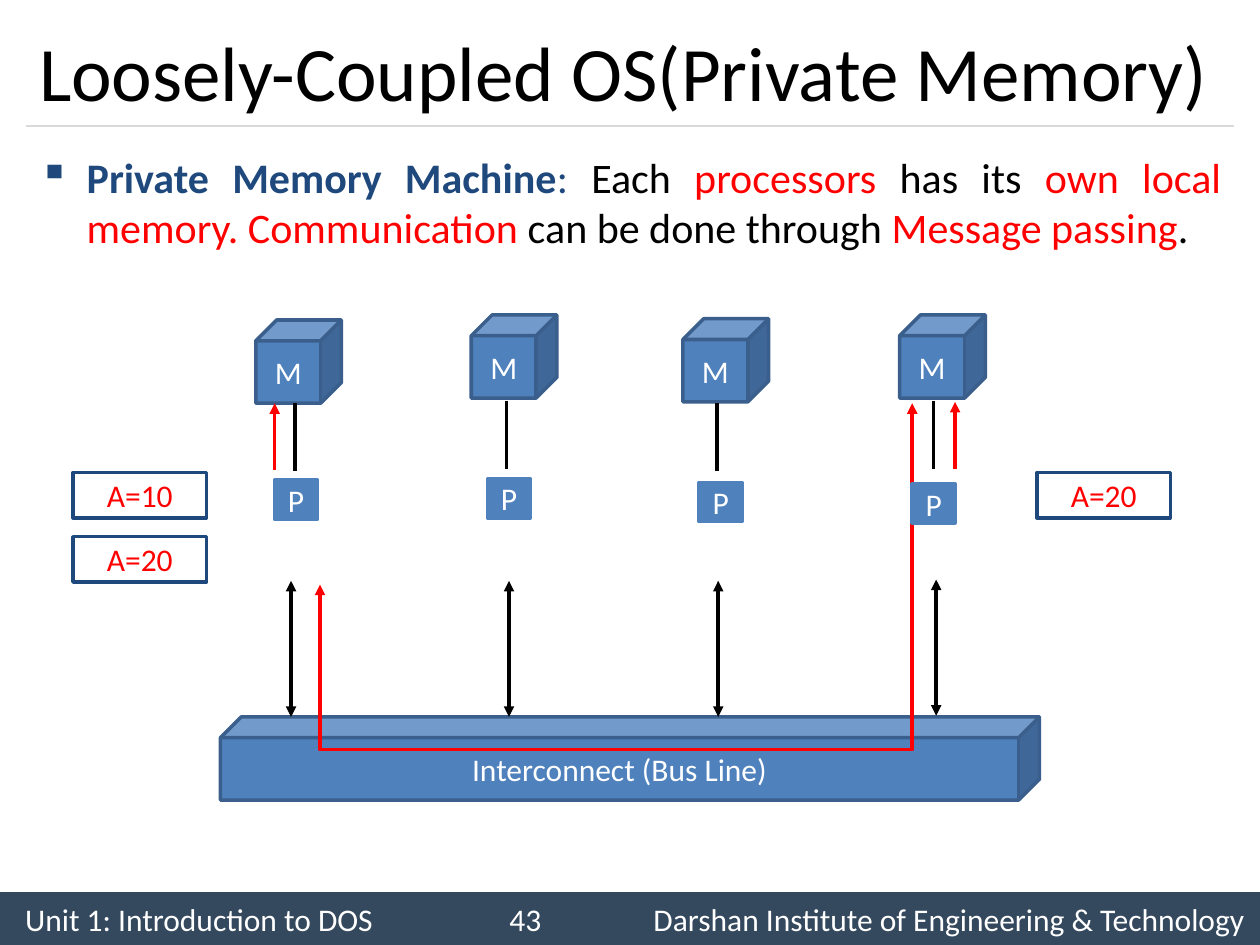
from lxml import etree
from pptx import Presentation
from pptx.dml.color import RGBColor
from pptx.enum.shapes import MSO_CONNECTOR, MSO_SHAPE
from pptx.enum.text import MSO_ANCHOR, MSO_AUTO_SIZE, PP_ALIGN
from pptx.oxml.ns import qn
from pptx.util import Inches, Pt

CUBE, RECT = MSO_SHAPE.CUBE, MSO_SHAPE.RECTANGLE
STRAIGHT = MSO_CONNECTOR.STRAIGHT
LEFT, CENTER, JUSTIFY = PP_ALIGN.LEFT, PP_ALIGN.CENTER, PP_ALIGN.JUSTIFY
MIDDLE, TOP = MSO_ANCHOR.MIDDLE, MSO_ANCHOR.TOP
FONT = "Calibri"
BLACK, WHITE, RED, NAVY = "000000", "FFFFFF", "FF0000", "1F497D"
BLUE, EDGE, BAR, GREY = "4F81BD", "3A5F8C", "34495E", "D9D9D9"

TITLE = "Loosely-Coupled OS(Private Memory)"
FOOTER = "Unit 1: Introduction to DOS\t43\tDarshan Institute of Engineering & Technology"
FOOTER_TABS = [(3.97, "ctr"), (9.68, "r")]
BODY = [
    ("Private Memory Machine", NAVY, True),
    (": ", NAVY, False),
    ("Each ", BLACK, False),
    ("processors", RED, False),
    (" has its ", BLACK, False),
    ("own local memory. Communication", RED, False),
    (" can be done through ", BLACK, False),
    ("Message passing", RED, False),
    (".", BLACK, False),
]
BUS = ("Interconnect (Bus Line)", (1.75, 5.69, 6.5, 0.66))
MEMORY_SIZE, PROCESSOR_SIZE, VALUE_SIZE = (0.68, 0.66), (0.34, 0.31), (1.06, 0.36)
LINK_LENGTH, BUS_LINK_LENGTH, UPDATE_LENGTH = 0.54, 1.08, 0.53
NODES = [
    {"memory": (2.03, 2.54), "link": (2.34, 3.2), "processor": (2.18, 3.81), "bus": (2.31, 4.61)},
    {"memory": (3.74, 2.5), "link": (4.02, 3.18), "processor": (3.87, 3.8), "bus": (4.04, 4.61)},
    {"memory": (5.42, 2.53), "link": (5.69, 3.2), "processor": (5.55, 3.83), "bus": (5.7, 4.61)},
    {"memory": (7.14, 2.5), "link": (7.41, 3.18), "processor": (7.24, 3.84), "bus": (7.43, 4.6)},
]
UPDATES = [(2.18, 3.73), (7.58, 3.72)]
VALUES = [("A=10", (0.58, 3.75)), ("A=20", (0.58, 4.26)), ("A=20", (8.23, 3.75))]
MESSAGE_ROUTE = [(2.54, 4.64), (2.54, 5.95), (7.24, 5.95), (7.24, 3.2)]


def rgb(color):
    """Turn a hex string into a colour."""
    return RGBColor.from_string(color)


def write(shape, runs, size, align, anchor=MIDDLE, insets=(0, 0, 0, 0)):
    """Fill a shape's single paragraph with (text, colour, bold) runs."""
    frame = shape.text_frame
    frame.word_wrap = True
    frame.auto_size = MSO_AUTO_SIZE.NONE
    frame.vertical_anchor = anchor
    frame.margin_left, frame.margin_top, frame.margin_right, frame.margin_bottom = map(Inches, insets)
    para = frame.paragraphs[0]
    para.alignment = align
    for text, color, bold in runs:
        span = para.add_run()
        span.text = text
        span.font.name, span.font.size, span.font.bold = FONT, Pt(size), bold
        span.font.color.rgb = rgb(color)
    return para


def add_box(slide, kind, place, fill, edge=None):
    """Add a flat preset shape, with an outline if an edge colour is given."""
    box = slide.shapes.add_shape(kind, *map(Inches, place))
    box.shadow.inherit = False
    box.fill.solid()
    box.fill.fore_color.rgb = rgb(fill)
    if edge:
        box.line.color.rgb = rgb(edge)
        box.line.width = Pt(2)
    else:
        box.line.fill.background()
    return box


def add_label(slide, kind, place, text, fill=BLUE, edge=EDGE, color=WHITE):
    """Add a shape with a centred 18 point label."""
    write(add_box(slide, kind, place, fill, edge), [(text, color, False)], 18, CENTER)


def style_line(shape, color, width, ends):
    """Colour a line and put triangles on the named ends."""
    shape.line.color.rgb = rgb(color)
    shape.line.width = Pt(width)
    outline = shape.line._get_or_add_ln()
    for end in ends:
        etree.SubElement(outline, qn(f"a:{end}"), type="triangle")


def add_line(slide, start, end, color=BLACK, width=2, ends=()):
    """Add a straight connector without a shadow."""
    line = slide.shapes.add_connector(STRAIGHT, *map(Inches, start + end))
    style_line(line, color, width, ends)
    etree.SubElement(line._element.spPr, qn("a:effectLst"))


def add_route(slide, points):
    """Add the open red message route with an arrow at each end."""
    start, *rest = [tuple(map(Inches, point)) for point in points]
    builder = slide.shapes.build_freeform(*start)
    builder.add_line_segments(rest, close=False)
    route = builder.convert_to_shape()
    route.shadow.inherit = False
    route.fill.background()
    style_line(route, RED, 2, ("headEnd", "tailEnd"))


def add_frame(slide):
    """Add the footer bar, the title rule and the title."""
    bar = add_box(slide, RECT, (0, 7.08, 10, 0.42), BAR)
    para = write(bar, [(FOOTER, WHITE, False)], 18, LEFT, insets=(0.2, 0, 0.1, 0))
    tabs = etree.SubElement(para._p.get_or_add_pPr(), qn("a:tabLst"))
    for position, align in FOOTER_TABS:
        etree.SubElement(tabs, qn("a:tab"), pos=str(Inches(position)), algn=align)
    add_line(slide, (0.21, 1), (9.79, 1), GREY, 0.75)
    title = slide.shapes.title
    title.left, title.top, title.width, title.height = map(Inches, (0.21, 0.12, 9.58, 0.88))
    write(title, [(TITLE, BLACK, False)], 44, LEFT, insets=(0.1, 0.05, 0.1, 0.05))


def add_body(slide):
    """Add the justified bullet paragraph."""
    box = slide.shapes.add_textbox(*map(Inches, (0.21, 1.15, 9.58, 0.91)))
    para = write(box, BODY, 24, JUSTIFY, TOP, (0.1, 0.05, 0.1, 0.05))
    properties = para._p.get_or_add_pPr()
    properties.set("marL", str(Inches(0.38)))
    properties.set("indent", str(-Inches(0.38)))
    etree.SubElement(properties, qn("a:buChar"), char="▪")


def add_diagram(slide):
    """Add the bus, the four nodes, the values and the message arrows."""
    text, place = BUS
    add_label(slide, CUBE, place, text)
    add_route(slide, MESSAGE_ROUTE)
    for node in NODES:
        add_label(slide, CUBE, node["memory"] + MEMORY_SIZE, "M")
        add_label(slide, RECT, node["processor"] + PROCESSOR_SIZE, "P", edge=BLUE)
        x, y = node["link"]
        add_line(slide, (x, y), (x, y + LINK_LENGTH))
        x, y = node["bus"]
        add_line(slide, (x, y), (x, y + BUS_LINK_LENGTH), ends=("headEnd", "tailEnd"))
    for x, y in UPDATES:
        add_line(slide, (x, y), (x, y - UPDATE_LENGTH), RED, ends=("tailEnd",))
    for text, corner in VALUES:
        add_label(slide, RECT, corner + VALUE_SIZE, text, WHITE, NAVY, RED)


def main():
    """Build and save the slide."""
    deck = Presentation()
    deck.slide_width, deck.slide_height = Inches(10), Inches(7.5)
    page = deck.slides.add_slide(deck.slide_layouts[5])
    add_frame(page)
    add_body(page)
    add_diagram(page)
    deck.save("out.pptx")


if __name__ == "__main__":
    main()
